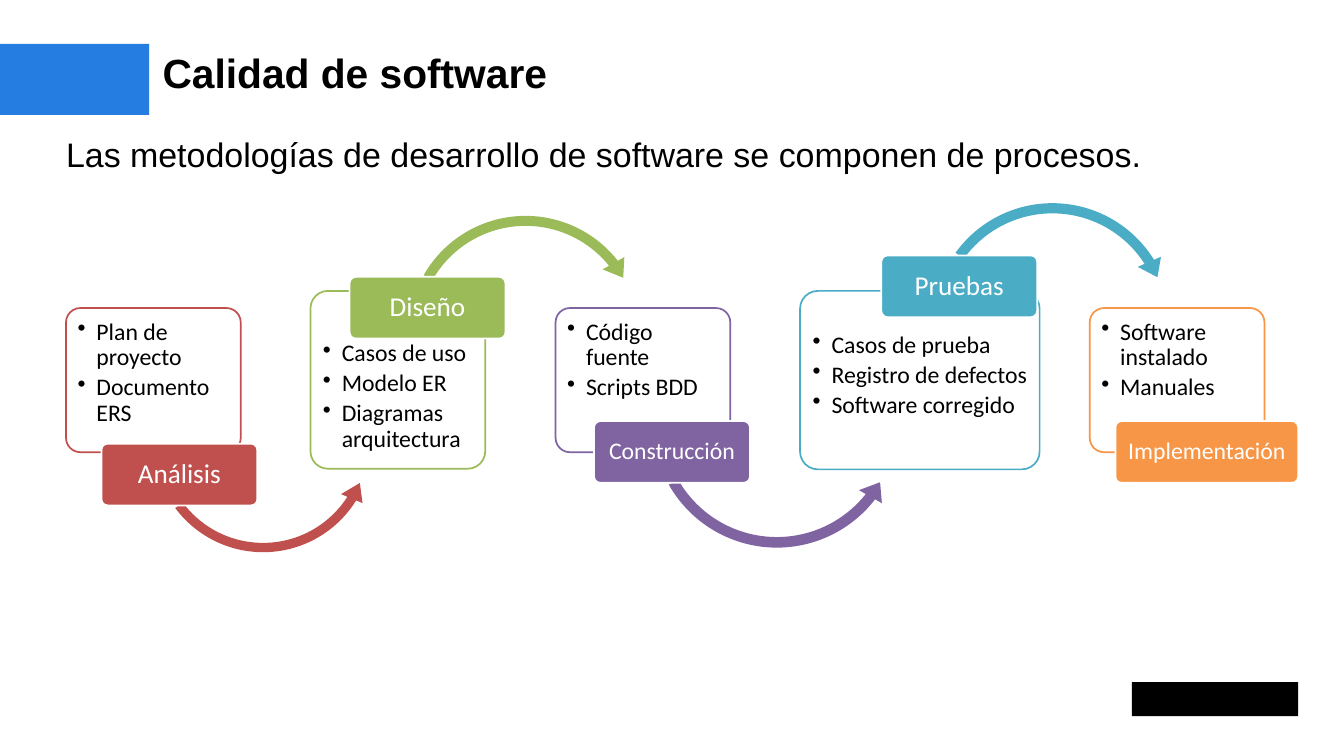
"""Build the slide on software quality with its five-step process flow."""
from dataclasses import dataclass

from lxml import etree
from pptx import Presentation
from pptx.dml.color import RGBColor
from pptx.enum import shapes, text
from pptx.oxml import ns
from pptx.util import Inches, Pt


@dataclass(frozen=True)
class Theme:
    banner: str = "257CE1"
    black: str = "000000"
    white: str = "FFFFFF"
    red: str = "C0504D"
    green: str = "9BBB59"
    purple: str = "8064A2"
    teal: str = "4BACC6"
    orange: str = "F79646"
    heading_font: str = "Arial"
    flow_font: str = "Calibri"
    title: int = 48
    lead: int = 40
    step: int = 32
    small: int = 28
    outline: int = 2


theme = Theme()
SHAPE = shapes.MSO_SHAPE
ALIGN = text.PP_ALIGN
ANCHOR = text.MSO_ANCHOR


def write(box, lines, *, font, size, color, bold=False, align=ALIGN.LEFT,
          anchor=ANCHOR.TOP, insets=(0, 0, 0, 0), line_spacing=None, after=0, bullet=None):
    frame = box.text_frame
    frame.word_wrap = True
    frame.vertical_anchor = anchor
    frame.margin_left, frame.margin_top, frame.margin_right, frame.margin_bottom = map(Inches, insets)
    for index, line in enumerate(lines):
        para = frame.paragraphs[0] if index == 0 else frame.add_paragraph()
        para.alignment = align
        para.line_spacing = line_spacing
        para.space_after = Pt(after)
        if bullet:
            properties = para._p.get_or_add_pPr()
            properties.set("marL", str(Inches(0.31)))
            properties.set("indent", str(Inches(-0.31)))
            etree.SubElement(properties, ns.qn("a:buChar"), char=bullet)
        span = para.add_run()
        span.text = line
        span.font.name = font
        span.font.size = Pt(size)
        span.font.bold = bold
        span.font.color.rgb = RGBColor.from_string(color)


def draw(page, kind, place, fill, outline=None, adjustments=()):
    shape = page.shapes.add_shape(kind, *map(Inches, place))
    shape.shadow.inherit = False
    shape.fill.solid()
    shape.fill.fore_color.rgb = RGBColor.from_string(fill)
    if outline:
        shape.line.color.rgb = RGBColor.from_string(outline)
        shape.line.width = Pt(theme.outline)
    else:
        shape.line.fill.background()
    for index, value in enumerate(adjustments):
        shape.adjustments[index] = value
    return shape


deck = Presentation()
deck.slide_width, deck.slide_height = Inches(21.99), Inches(12.37)
page = deck.slides.add_slide(deck.slide_layouts[6])

draw(page, SHAPE.RECTANGLE, (-0.01, 0.72, 2.45, 1.16), theme.banner)
draw(page, SHAPE.RECTANGLE, (18.52, 11.16, 2.72, 0.56), theme.black)

title = page.shapes.add_textbox(*map(Inches, (2.66, 0.78, 18.58, 0.81)))
write(title, ["Calidad de software"], font=theme.heading_font, size=theme.title,
      color=theme.black, bold=True)
lead = page.shapes.add_textbox(*map(Inches, (1.08, 2.18, 19.08, 0.67)))
write(lead, ["Las metodologías de desarrollo de software se componen de procesos."],
      font=theme.heading_font, size=theme.lead, color=theme.black, align=ALIGN.JUSTIFY)

steps = [
    dict(name="Análisis", items=["Plan de proyecto", "Documento ERS"],
         color=theme.red, size=theme.step, card=(1.08, 5.04, 2.86, 2.36), top_inset=0.12,
         label=(1.66, 7.26, 2.55),
         arrow=(SHAPE.LEFT_CIRCULAR_ARROW, 2.4, 5.34, 3.81, (0.04, 5.77, 19.32, 86.04, 0.05))),
    dict(name="Diseño", items=["Casos de uso", "Modelo ER", "Diagramas arquitectura"],
         color=theme.green, size=theme.step, card=(5.08, 4.76, 2.86, 2.91), top_inset=0.74,
         label=(5.72, 4.53, 2.55),
         arrow=(SHAPE.CIRCULAR_ARROW, 6.56, 3.41, 4.08, (0.04, 5.35, 192.92, 125.78, 0.05))),
    dict(name="Construcción", items=["Código fuente", "Scripts BDD"],
         color=theme.purple, size=theme.small, card=(9.09, 5.04, 2.86, 2.36), top_inset=0.12,
         label=(9.72, 6.89, 2.55),
         arrow=(SHAPE.LEFT_CIRCULAR_ARROW, 10.55, 4.77, 4.32, (0.04, 5.02, 22.8, 90.27, 0.05))),
    dict(name="Pruebas", items=["Casos de prueba", "Registro de defectos", "Software corregido"],
         color=theme.teal, size=theme.step, card=(13.09, 4.76, 3.92, 2.92), top_inset=0.6,
         label=(14.42, 4.18, 2.55),
         arrow=(SHAPE.CIRCULAR_ARROW, 15.14, 3.2, 4.16, (0.04, 5.24, 196.73, 129.48, 0.05))),
    dict(name="Implementación", items=["Software instalado", "Manuales"],
         color=theme.orange, size=theme.small, card=(17.83, 5.04, 2.86, 2.36), top_inset=0.12,
         label=(18.25, 6.89, 2.99), arrow=None),
]

for step in steps:
    card = draw(page, SHAPE.ROUNDED_RECTANGLE, step["card"], theme.white, step["color"], [0.1])
    write(card, step["items"], font=theme.flow_font, size=theme.small, color=theme.black,
          insets=(0.12, step["top_inset"], 0.12, 0.12), line_spacing=0.9, after=5, bullet="•")
    if step["arrow"]:
        kind, left, top, side, bends = step["arrow"]
        draw(page, kind, (left, top, side, side), step["color"], adjustments=bends)
    label = draw(page, SHAPE.ROUNDED_RECTANGLE, (*step["label"], 1.01), step["color"],
                 theme.white, [0.1])
    write(label, [step["name"]], font=theme.flow_font, size=step["size"], color=theme.white,
          align=ALIGN.CENTER, anchor=ANCHOR.MIDDLE, insets=(0.06, 0.04, 0.06, 0.04),
          line_spacing=0.9)

deck.save("out.pptx")
